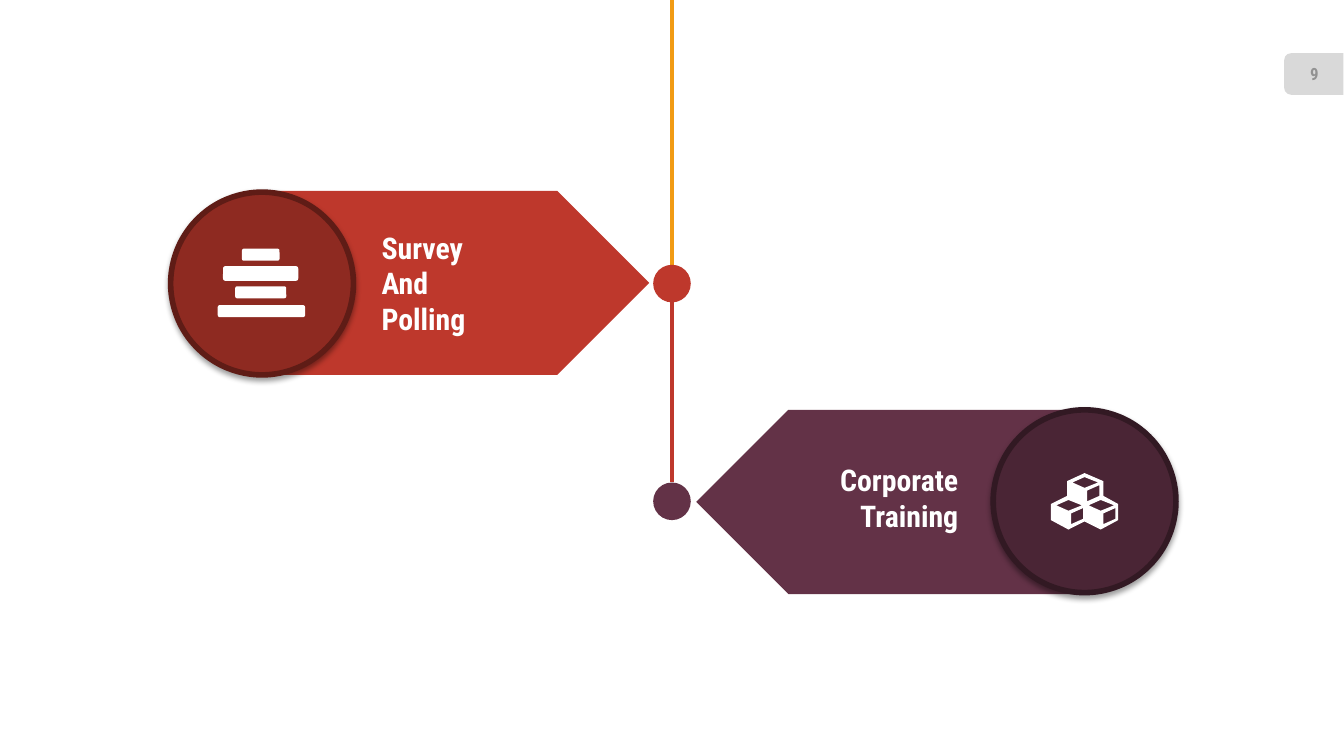
from dataclasses import dataclass

import pptx
import pptx.dml.color
import pptx.enum.shapes
import pptx.enum.text
import pptx.oxml
import pptx.oxml.ns
import pptx.util

PX = 9144  # EMU in one px, 100 px to the inch
FONT = "Roboto Condensed"
HUES = {
    "white": "FFFFFF", "gold": "F19B14", "tab": "D9D9D9", "grey": "929292",
    "red": "BE382C", "red disc": "8E2A21", "red rim": "5F1C16",
    "plum": "633247", "plum disc": "4A2535", "plum rim": "321923",
}
KIND = pptx.enum.shapes.MSO_SHAPE
ALIGN = pptx.enum.text.PP_ALIGN
WIDE = 1000
AXIS = WIDE // 2  # centre of the timeline
DOT = 28
DISC = 136


@dataclass
class Box:
    x: int
    y: int
    w: int
    h: int

    def emu(self) -> list[int]:
        return [n * PX for n in (self.x, self.y, self.w, self.h)]


@dataclass
class Step:
    hue: str
    text: str
    arrow: Box
    turn: int
    label: Box
    align: ALIGN
    disc: Box
    dot: int  # top edge of the dot


STEPS = [
    Step("red", "Survey\nAnd\nPolling", Box(192, 142, 291, 137), 0,
         Box(284, 170, 63, 81), ALIGN.LEFT, Box(127, 143, DISC, DISC), 197),
    Step("plum", "Corporate\nTraining", Box(518, 305, 291, 137), 180,
         Box(624, 343, 89, 54), ALIGN.RIGHT, Box(739, 305, DISC, DISC), 359),
]


def color(name: str) -> pptx.dml.color.RGBColor:
    return pptx.dml.color.RGBColor.from_string(HUES[name])


def paint(shape, hue: str):
    shape.shadow.inherit = False
    shape.fill.solid()
    shape.fill.fore_color.rgb = color(hue)
    shape.line.fill.background()
    return shape


def draw(slide, kind: KIND, box: Box, hue: str, turn: int = 0):
    shape = paint(slide.shapes.add_shape(kind, *box.emu()), hue)
    shape.rotation = turn
    return shape


def write(slide, text: str, box: Box, size: int, hue: str, align: ALIGN):
    frame = slide.shapes.add_textbox(*box.emu()).text_frame
    frame.word_wrap = False
    frame.vertical_anchor = pptx.enum.text.MSO_ANCHOR.MIDDLE
    frame.margin_left = frame.margin_right = 0
    frame.margin_top = frame.margin_bottom = 0
    frame.text = text
    for para in frame.paragraphs:
        para.alignment = align
        font = para.runs[0].font
        font.name, font.size, font.bold = FONT, pptx.util.Pt(size), True
        font.color.rgb = color(hue)


def link(slide, top: int, end: int, hue: str):
    line = slide.shapes.add_connector(
        pptx.enum.shapes.MSO_CONNECTOR.STRAIGHT,
        AXIS * PX, top * PX, AXIS * PX, end * PX)
    line.line.color.rgb = color(hue)
    line.line.width = pptx.util.Pt(2.25)
    line._element.spPr.append(pptx.oxml.parse_xml(
        f'<a:effectLst {pptx.oxml.ns.nsdecls("a")}/>'))


def disc(slide, step: Step):
    shape = draw(slide, KIND.OVAL, step.disc, f"{step.hue} disc")
    shape.line.color.rgb = color(f"{step.hue} rim")
    shape.line.width = pptx.util.Pt(3)
    glow = shape._element.spPr.find(pptx.oxml.ns.qn("a:effectLst"))
    glow.append(pptx.oxml.parse_xml(
        f'<a:outerShdw {pptx.oxml.ns.nsdecls("a")} blurRad="39370" '
        'dist="20320" dir="5400000" rotWithShape="0"><a:srgbClr val="000000">'
        '<a:alpha val="38000"/></a:srgbClr></a:outerShdw>'))


def bars(slide):
    mid = 194
    for top, wide, high in ((185, 28, 9), (198, 56, 11), (213, 38, 9), (227, 65, 9)):
        box = Box(mid - wide // 2, top, wide, high)
        draw(slide, KIND.ROUNDED_RECTANGLE, box, "white")


def cubes(slide):
    rim = [(832, 375), (832, 387), (819, 394), (807, 388), (795, 394),
           (782, 387), (782, 375), (794, 369), (794, 358), (807, 352),
           (821, 358), (821, 369)]
    # Top and side openings of the left cube, moved to the other two
    lid = [(805, 376), (795, 372), (786, 376), (795, 380)]
    side = [(806, 386), (806, 378), (797, 382), (797, 390)]
    path = slide.shapes.build_freeform(*rim[0], scale=PX)
    path.add_line_segments(rim[1:], close=True)
    for dx, dy in ((0, 0), (24, 0), (12, -17)):
        for hole in (lid, side):
            spots = [(x + dx, y + dy) for x, y in hole]
            path.move_to(*spots[0])
            path.add_line_segments(spots[1:], close=True)
    paint(path.convert_to_shape(), "white")


def main():
    deck = pptx.Presentation()
    deck.slide_width = WIDE * PX
    deck.slide_height = WIDE * PX * 9 // 16
    slide = deck.slides.add_slide(deck.slide_layouts[6])

    # Page number tab
    draw(slide, KIND.ROUND_2_SAME_RECTANGLE, Box(962, 33, 31, 44), "tab", 270)
    write(slide, "9", Box(957, 40, 42, 30), 9, "grey", ALIGN.CENTER)

    # Timeline
    first, last = STEPS
    link(slide, 0, first.dot, "gold")
    link(slide, first.dot + DOT, last.dot, first.hue)

    # Steps
    for step, icon in zip(STEPS, (bars, cubes)):
        draw(slide, KIND.PENTAGON, step.arrow, step.hue, step.turn)
        write(slide, step.text, step.label, 16, "white", step.align)
        draw(slide, KIND.OVAL, Box(AXIS - DOT // 2, step.dot, DOT, DOT), step.hue)
        disc(slide, step)
        icon(slide)

    deck.save("out.pptx")


if __name__ == "__main__":
    main()
